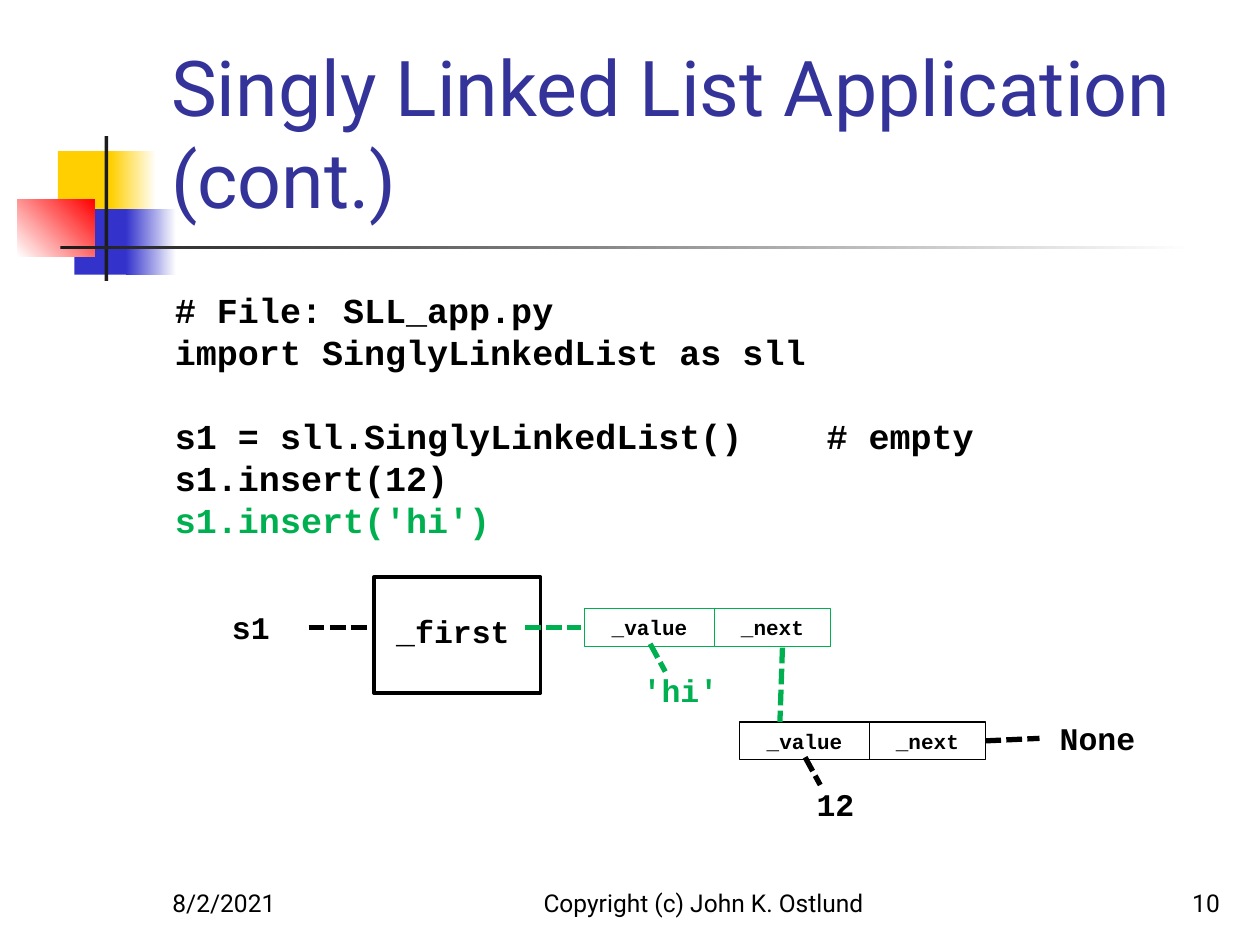
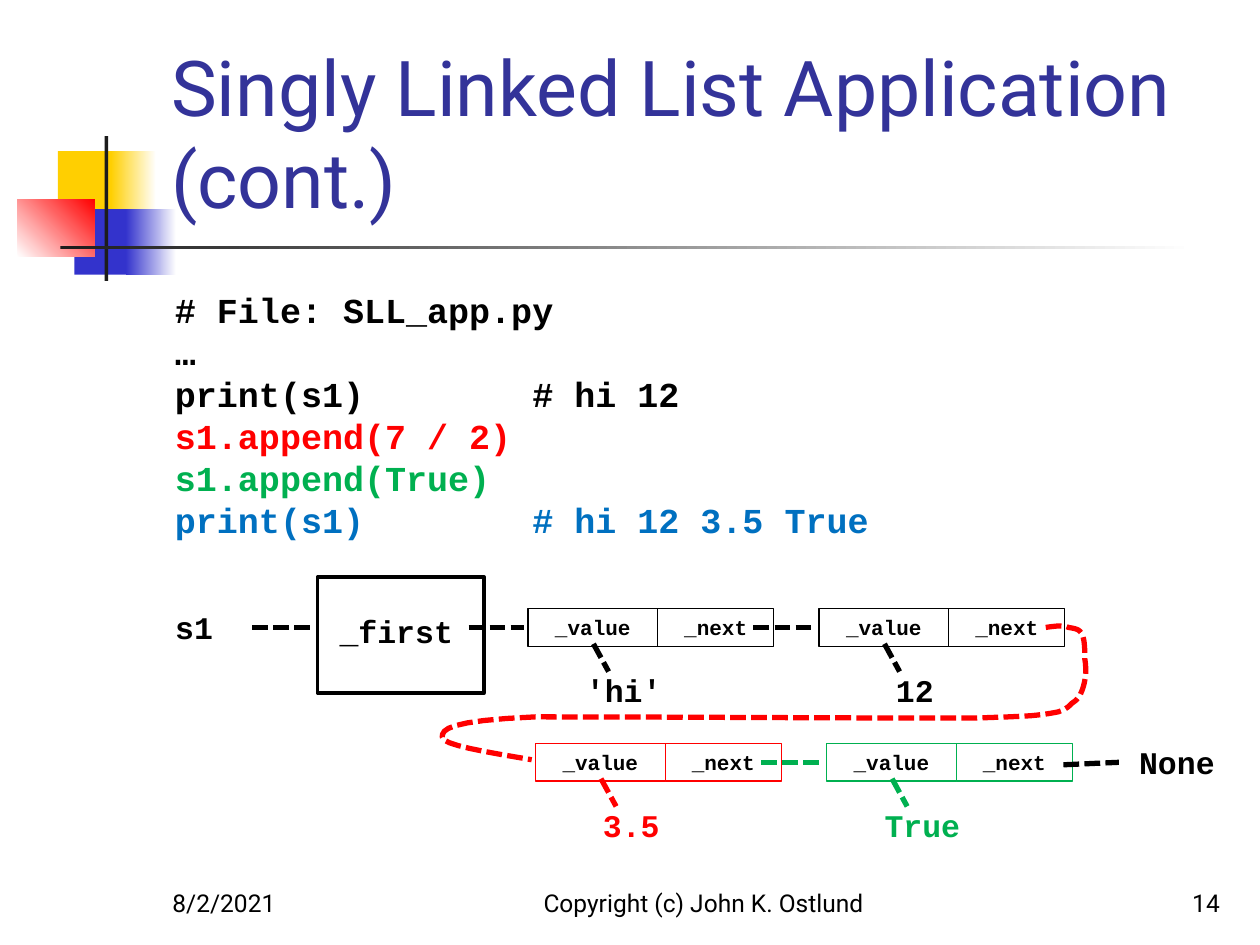
from lxml.etree import SubElement
from pptx import Presentation
from pptx.dml.color import RGBColor
from pptx.enum.dml import MSO_LINE
from pptx.enum.shapes import MSO_CONNECTOR, MSO_SHAPE
from pptx.enum.text import MSO_ANCHOR, MSO_AUTO_SIZE, PP_ALIGN
from pptx.oxml.ns import qn
from pptx.util import Inches, Pt

BLACK = RGBColor(0x00, 0x00, 0x00)
WHITE = RGBColor(0xFF, 0xFF, 0xFF)
GREEN = RGBColor(0x00, 0xB0, 0x50)
RED = RGBColor(0xFF, 0x00, 0x00)
BLUE = RGBColor(0x00, 0x70, 0xC0)
TITLE_BLUE = RGBColor(0x33, 0x33, 0x99)
YELLOW = RGBColor(0xFF, 0xCF, 0x01)
INDIGO = RGBColor(0x33, 0x33, 0xCC)
CHARCOAL = RGBColor(0x1C, 0x1C, 0x1C)

SANS, MONO = "Roboto", "Courier New"
TITLE = "Singly Linked List Application (cont.)"
LABEL_SIZE = (0.92, 0.4)
VALUE_WIDTH, NEXT_WIDTH, CELL_HEIGHT = 1.03, 0.92, 0.3
ROW_1 = 4.83  # top of the first row of nodes

# box, colour at the start, colour at the end (None: solid), angle
ORNAMENT = [
    ((0.46, 1.2, 0.48, 0.52), YELLOW, None, 0),
    ((0.88, 1.2, 0.36, 0.52), YELLOW, WHITE, 0),
    ((0.59, 1.66, 0.46, 0.52), INDIGO, None, 0),
    ((1, 1.66, 0.4, 0.52), INDIGO, WHITE, 0),
    ((0.14, 1.58, 0.61, 0.46), WHITE, RED, 45),
    ((0.83, 1.08, 0.03, 1.15), CHARCOAL, None, 0),
    ((0.48, 1.95, 9, 0.03), CHARCOAL, WHITE, 0),
]

FOOTER = [
    ((1.27, 6.83, 2.08, 0.5), "8/2/2021", PP_ALIGN.LEFT),
    ((4, 6.83, 3.17, 0.5), "Copyright (c) John K. Ostlund", PP_ALIGN.CENTER),
]
NUMBER_BOX = (7.7, 6.83, 2.08, 0.5)

# nodes: left, top, value, value colour, cell border
# links: start, end, colour;  tail: start and end of the link to None
SLIDES = [
    dict(
        number="10",
        code=[("# File: SLL_app.py", BLACK),
              ("import SinglyLinkedList as sll", BLACK),
              ("", BLACK),
              ("s1 = sll.SinglyLinkedList()    # empty", BLACK),
              ("s1.insert(12)", BLACK),
              ("s1.insert('hi')", GREEN)],
        list_left=2.97, first_link=GREEN,
        nodes=[(5.87, 5.73, "12", BLACK, BLACK),
               (4.64, ROW_1, "'hi'", GREEN, GREEN)],
        links=[((6.21, 5.14), (6.19, 5.73), GREEN)],
        tail=((7.81, 5.88), (8.25, 5.86)), tail_joined=True,
        curve=None,
    ),
    dict(
        number="14",
        code=[("# File: SLL_app.py", BLACK),
              ("…", BLACK),
              ("print(s1)        # hi 12", BLACK),
              ("s1.append(7 / 2)", RED),
              ("s1.append(True)", GREEN),
              ("print(s1)        # hi 12 3.5 True", BLUE)],
        list_left=2.52, first_link=BLACK,
        nodes=[(6.5, ROW_1, "12", BLACK, BLACK),
               (4.19, ROW_1, "'hi'", BLACK, BLACK),
               (6.56, 5.9, "True", GREEN, GREEN),
               (4.25, 5.9, "3.5", RED, RED)],
        links=[((5.98, 4.98), (6.44, 4.98), BLACK),
               ((6.04, 6.05), (6.5, 6.05), GREEN)],
        tail=((8.44, 6.07), (8.88, 6.05)), tail_joined=False,
        # start, then two control points and an end for each Bézier piece
        curve=[(8.3, 4.98),
               (8.37, 4.97), (8.44, 4.96), (8.48, 4.98),
               (8.53, 4.99), (8.57, 4.99), (8.59, 5.04),
               (8.61, 5.08), (8.61, 5.17), (8.61, 5.23),
               (8.62, 5.29), (8.62, 5.35), (8.61, 5.4),
               (8.6, 5.45), (8.59, 5.48), (8.57, 5.52),
               (8.55, 5.55), (8.54, 5.56), (8.51, 5.58),
               (8.48, 5.61), (8.46, 5.63), (8.4, 5.65),
               (8.35, 5.66), (8.3, 5.67), (8.19, 5.68),
               (8.07, 5.69), (7.71, 5.7), (7.71, 5.7),
               (6.56, 5.7), (5.4, 5.69), (4.25, 5.69),
               (3.55, 5.72), (3.51, 5.79), (3.51, 5.85),
               (3.5, 5.91), (3.86, 5.97), (4.22, 6.03)],
    ),
]


def inches(values):
    return [Inches(value) for value in values]


def write(shape, text, size=18, color=BLACK, font=MONO, bold=True,
          align=PP_ALIGN.CENTER, anchor=MSO_ANCHOR.TOP):
    frame = shape.text_frame
    frame.word_wrap = True
    frame.auto_size = MSO_AUTO_SIZE.NONE
    frame.vertical_anchor = anchor
    frame.text = text
    paragraph = frame.paragraphs[0]
    paragraph.alignment = align
    style(paragraph, size, color, font, bold)


def style(paragraph, size, color, font, bold):
    paragraph.font.size = Pt(size)
    paragraph.font.color.rgb = color
    paragraph.font.name = font
    paragraph.font.bold = bold


def add_text(slide, box, text, **format):
    write(slide.shapes.add_textbox(*inches(box)), text, **format)


def add_rect(slide, box, border=None, width=0.75):
    rect = slide.shapes.add_shape(MSO_SHAPE.RECTANGLE, *inches(box))
    rect.shadow.inherit = False
    rect.fill.background()
    if border is None:
        rect.line.fill.background()
    else:
        rect.line.color.rgb = border
        rect.line.width = Pt(width)
    return rect


def dot(line, color):
    line.color.rgb = color
    line.width = Pt(3)
    line.dash_style = MSO_LINE.SQUARE_DOT


def add_link(slide, start, end, color):
    link = slide.shapes.add_connector(MSO_CONNECTOR.STRAIGHT,
                                      *inches(start + end))
    dot(link.line, color)
    SubElement(link.element.spPr, qn("a:effectLst"))
    return link


def add_ornament(slide):
    for box, start, end, angle in ORNAMENT:
        fill = add_rect(slide, box).fill
        if end is None:
            fill.solid()
            fill.fore_color.rgb = start
        else:
            fill.gradient()
            fill.gradient_angle = angle
            for stop, color in zip(fill.gradient_stops, (start, end)):
                stop.color.rgb = color


def add_title(slide):
    title = slide.shapes.title
    title.left, title.top, title.width, title.height = inches(
        (1.26, 0.23, 8.52, 1.6))
    write(title, TITLE, size=44, color=TITLE_BLUE, font=SANS, bold=False,
          align=PP_ALIGN.LEFT, anchor=MSO_ANCHOR.BOTTOM)
    title.element.getparent().append(title.element)  # in front of the ornament


def add_footer(slide, number):
    for box, text, align in FOOTER + [(NUMBER_BOX, number, PP_ALIGN.RIGHT)]:
        add_text(slide, box, text, size=14, font=SANS, bold=False,
                 align=align, anchor=MSO_ANCHOR.BOTTOM)


def add_code(slide, code):
    """Write the code lines; an empty line becomes space before the next."""
    frame = slide.shapes.add_textbox(*inches((1.29, 2.24, 8.5, 2.2))).text_frame
    frame.word_wrap = True
    pitch = Pt(24)
    gap = 0
    for index, (text, color) in enumerate(code):
        if not text:
            gap += pitch
            continue
        paragraph = frame.add_paragraph() if index else frame.paragraphs[0]
        paragraph.text = text
        paragraph.line_spacing = pitch
        paragraph.space_before = gap
        style(paragraph, 20, color, MONO, True)
        gap = 0


def add_list_head(slide, left, first_link):
    middle = ROW_1 + CELL_HEIGHT / 2
    add_rect(slide, (left, 4.58, 1.32, 0.92), BLACK, 2.25)
    add_text(slide, (left + 0.04, 4.81, 1.17, 0.4), "_first")
    add_text(slide, (left - 1.44, 4.78, *LABEL_SIZE), "s1")
    add_link(slide, (left - 0.52, middle), (left - 0.04, middle), BLACK)
    add_link(slide, (left + 1.2, middle), (left + 1.64, middle), first_link)


def add_node(slide, left, top, value, color, border):
    """Draw a node with its value below; return its _next cell."""
    cells = [("_value", left, VALUE_WIDTH),
             ("_next", left + VALUE_WIDTH, NEXT_WIDTH)]
    for field, cell_left, width in cells:
        cell = add_rect(slide, (cell_left, top, width, CELL_HEIGHT), border)
        write(cell, field, size=12, anchor=MSO_ANCHOR.MIDDLE)
    add_link(slide, (left + 0.52, top + 0.28), (left + 0.64, top + 0.5), color)
    add_text(slide, (left + 0.3, top + 0.45, *LABEL_SIZE), value, color=color)
    return cell


def bezier(points, steps=8):
    """Sample a chain of cubic Bézier pieces."""
    sampled = [points[0]]
    for i in range(0, len(points) - 1, 3):
        piece = points[i:i + 4]
        for step in range(1, steps + 1):
            t = step / steps
            weights = ((1 - t) ** 3, 3 * t * (1 - t) ** 2,
                       3 * t ** 2 * (1 - t), t ** 3)
            sampled.append(tuple(sum(w * p[axis] for w, p in zip(weights, piece))
                                 for axis in (0, 1)))
    return sampled


def add_curve(slide, points):
    start, *rest = [inches(point) for point in bezier(points)]
    builder = slide.shapes.build_freeform(*start)
    builder.add_line_segments(rest, close=False)
    curve = builder.convert_to_shape()
    curve.shadow.inherit = False
    curve.fill.background()
    dot(curve.line, RED)


def add_slide(deck, content):
    slide = deck.slides.add_slide(deck.slide_layouts[5])
    add_ornament(slide)
    add_title(slide)
    add_code(slide, content["code"])
    add_footer(slide, content["number"])
    add_list_head(slide, content["list_left"], content["first_link"])
    next_cells = [add_node(slide, *node) for node in content["nodes"]]
    for link in content["links"]:
        add_link(slide, *link)
    start, end = content["tail"]
    tail = add_link(slide, start, end, BLACK)
    if content["tail_joined"]:
        tail.begin_connect(next_cells[0], 3)
    add_text(slide, (end[0], end[1] - 0.2, *LABEL_SIZE), "None")
    if content["curve"]:
        add_curve(slide, content["curve"])


def main():
    deck = Presentation()
    deck.slide_width, deck.slide_height = Inches(10), Inches(7.5)
    for content in SLIDES:
        add_slide(deck, content)
    deck.save("out.pptx")


if __name__ == "__main__":
    main()
